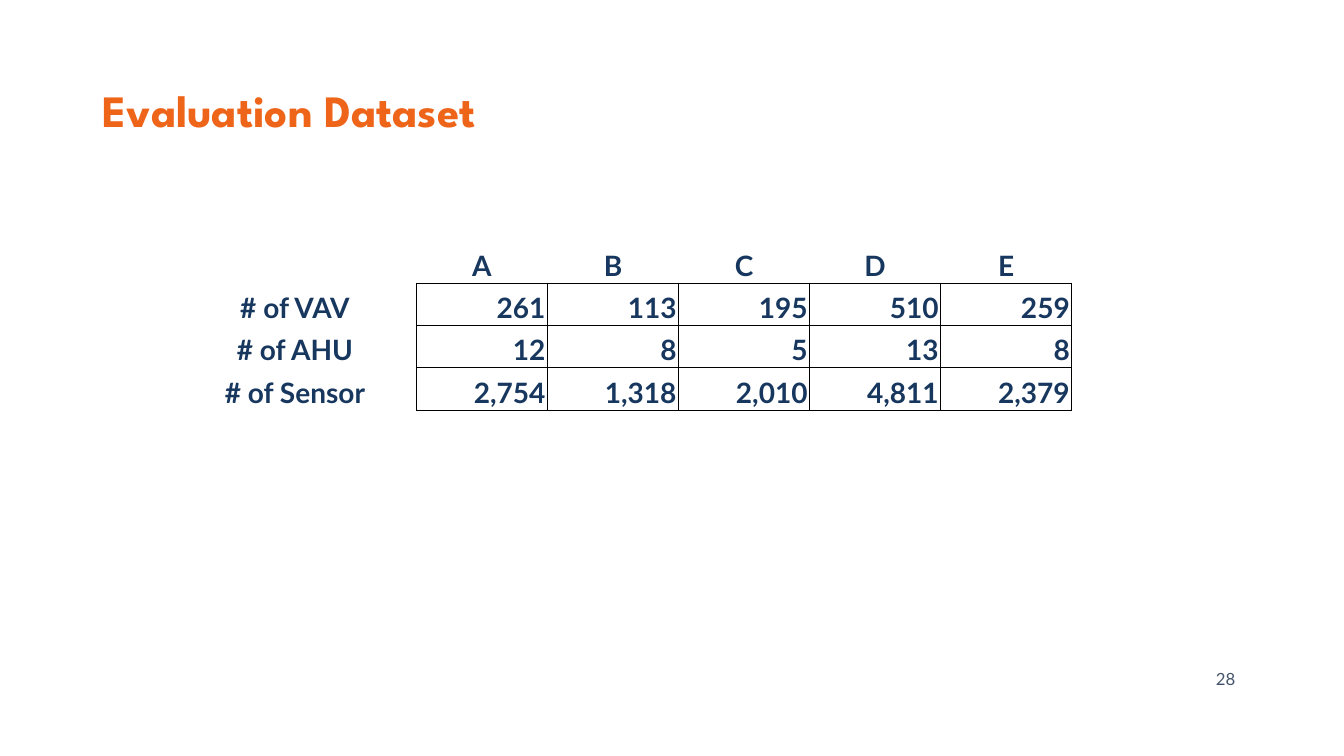
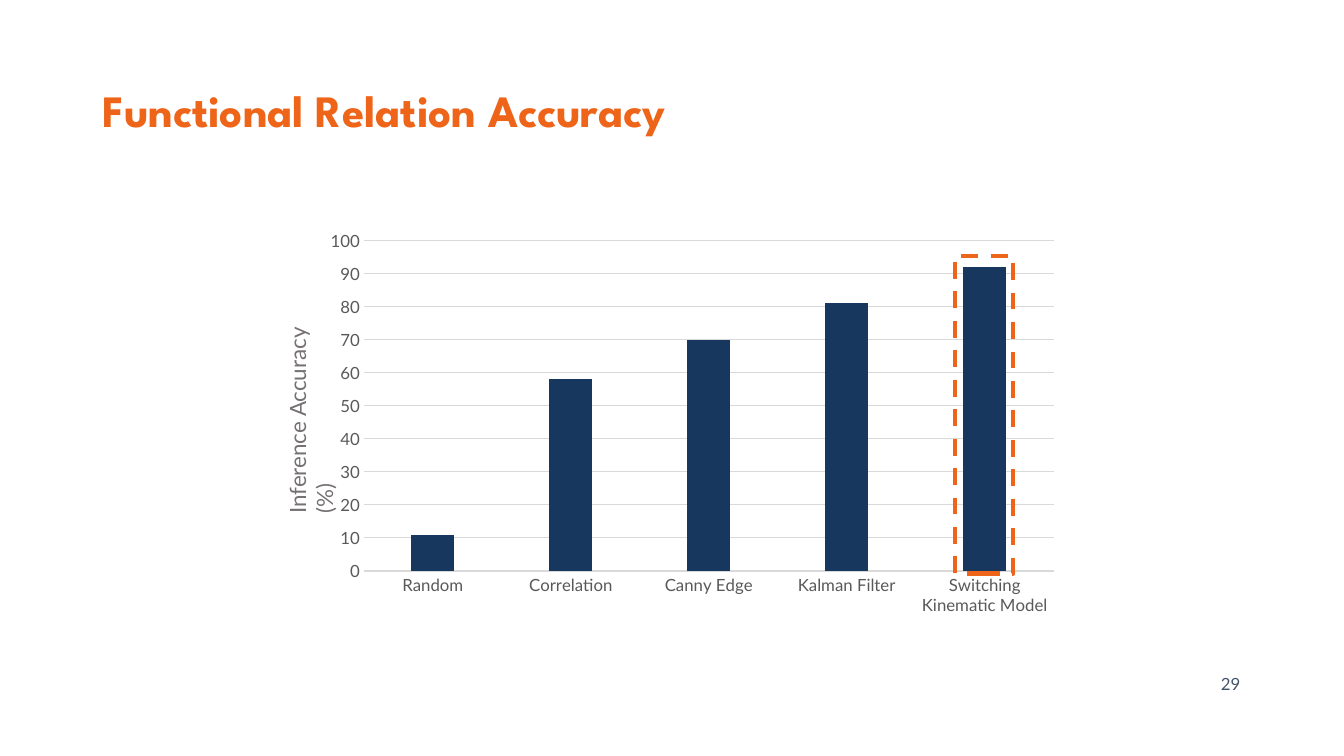
from lxml import etree
from pptx import Presentation
from pptx.chart.data import CategoryChartData
from pptx.dml.color import RGBColor
from pptx.enum.chart import XL_CHART_TYPE, XL_TICK_MARK
from pptx.enum.dml import MSO_LINE
from pptx.enum.shapes import MSO_SHAPE
from pptx.enum.text import MSO_ANCHOR, MSO_AUTO_SIZE, PP_ALIGN
from pptx.oxml import parse_xml
from pptx.oxml.ns import nsdecls
from pptx.util import Pt

PX = 9144  # 100 px to the inch
ORANGE = RGBColor(0xEE, 0x64, 0x19)
NAVY = RGBColor(0x17, 0x37, 0x5E)
SLATE = RGBColor(0x44, 0x54, 0x6A)
LABEL_GRAY = RGBColor(0x59, 0x59, 0x59)
CAPTION_GRAY = RGBColor(0x76, 0x71, 0x71)
GRID_GRAY = RGBColor(0xD9, 0xD9, 0xD9)
BLACK = RGBColor(0, 0, 0)

LEFT, CENTER, RIGHT = PP_ALIGN.LEFT, PP_ALIGN.CENTER, PP_ALIGN.RIGHT
TOP, MIDDLE, BOTTOM = MSO_ANCHOR.TOP, MSO_ANCHOR.MIDDLE, MSO_ANCHOR.BOTTOM
NO_TICKS = XL_TICK_MARK.NONE

TITLE_FONT = {"name": "League Spartan", "size": Pt(32), "bold": True, "color": ORANGE}
NUMBER_FONT = {"name": "Lato", "size": Pt(12), "color": SLATE}
TABLE_FONT = {"name": "Lato", "size": Pt(20), "bold": True, "color": NAVY}
CHART_FONT = {"name": "Lato", "size": Pt(10), "color": BLACK}
AXIS_FONT = {"name": "Lato", "size": Pt(12), "color": LABEL_GRAY}
CAPTION_FONT = {"name": "Lato", "size": Pt(16), "color": CAPTION_GRAY}


def set_format(target, values):
    """Set attributes from a dict; a colour goes to target.color.rgb."""
    for key, value in values.items():
        if key == "color":
            target.color.rgb = value
        else:
            setattr(target, key, value)


def add_text(slide, box, text, font, align=LEFT, anchor=MIDDLE):
    holder = slide.shapes.add_textbox(*(length * PX for length in box))
    set_format(holder.text_frame, {"word_wrap": True, "vertical_anchor": anchor})
    paragraph = holder.text_frame.paragraphs[0]
    paragraph.alignment = align
    run = paragraph.add_run()
    run.text = text
    set_format(run.font, font)
    return holder


prs = Presentation()
set_format(prs, {"slide_width": 1333 * PX, "slide_height": 750 * PX})

# Titles and page numbers
pages = [
    ("Evaluation Dataset", "28", (935, 653, 300, 40)),
    ("Functional Relation Accuracy", "29", (940, 658, 300, 40)),
]
slides = []
for title, number, number_box in pages:
    slide = prs.slides.add_slide(prs.slide_layouts[6])
    heading = add_text(slide, (92, 40, 1150, 145), title, TITLE_FONT)
    heading.text_frame.paragraphs[0].line_spacing = 0.9
    add_text(slide, number_box, number, NUMBER_FONT, RIGHT)
    slides.append(slide)
dataset_slide, accuracy_slide = slides

# Dataset table
dataset = [
    ["", "A", "B", "C", "D", "E"],
    ["# of VAV", "261", "113", "195", "510", "259"],
    ["# of AHU", "12", "8", "5", "13", "8"],
    ["# of Sensor", "2,754", "1,318", "2,010", "4,811", "2,379"],
]
column_widths = [241] + [130] * 5
row_height = 42
table = dataset_slide.shapes.add_table(
    len(dataset), len(column_widths), 172 * PX, 239 * PX,
    sum(column_widths) * PX, len(dataset) * row_height * PX).table
set_format(table, {"first_row": False, "horz_banding": False})
for column, width in zip(table.columns, column_widths):
    column.width = width * PX
for r, values in enumerate(dataset):
    table.rows[r].height = row_height * PX
    for c, value in enumerate(values):
        cell = table.cell(r, c)
        set_format(cell, {"margin_left": 2 * PX, "margin_right": 2 * PX,
                          "margin_top": PX, "margin_bottom": PX,
                          "vertical_anchor": BOTTOM})
        if r and c:
            ruled = "LRTB"
        elif r:
            ruled = "R"
        else:
            ruled = "B" if c else ""
        for side in "LRTB":
            stroke = ('<a:solidFill><a:srgbClr val="000000"/></a:solidFill>'
                      if side in ruled else "<a:noFill/>")
            cell._tc.get_or_add_tcPr().append(parse_xml(
                f'<a:ln{side} {nsdecls("a")} w="12700">{stroke}</a:ln{side}>'))
        cell.fill.background()
        if value:
            paragraph = cell.text_frame.paragraphs[0]
            paragraph.alignment = RIGHT if r and c else CENTER
            run = paragraph.add_run()
            run.text = value
            set_format(run.font, TABLE_FONT)

# Accuracy chart
accuracy = {
    "Random": 11,
    "Correlation": 58,
    "Canny Edge": 70,
    "Kalman Filter": 81,
    "Switching Kinematic Model": 92,
}
chart_data = CategoryChartData()
chart_data.categories = list(accuracy)
chart_data.add_series("Series 1", list(accuracy.values()))
chart = accuracy_slide.shapes.add_chart(
    XL_CHART_TYPE.COLUMN_CLUSTERED, 313 * PX, 221 * PX, 747 * PX, 397 * PX,
    chart_data).chart
set_format(chart, {"has_legend": False, "has_title": False})
set_format(chart.font, CHART_FONT)
plot = chart.plots[0]
set_format(plot, {"gap_width": 219, "overlap": -27, "vary_by_categories": False})
bars = plot.series[0].format.fill
bars.solid()
bars.fore_color.rgb = NAVY

for axis in (chart.category_axis, chart.value_axis):
    set_format(axis, {"major_tick_mark": NO_TICKS, "minor_tick_mark": NO_TICKS})
    set_format(axis.tick_labels.font, AXIS_FONT)
set_format(chart.value_axis, {"minimum_scale": 0, "maximum_scale": 100,
                              "major_unit": 10, "has_major_gridlines": True})
chart.value_axis.format.line.fill.background()
for line in (chart.category_axis.format.line,
             chart.value_axis.major_gridlines.format.line):
    set_format(line, {"color": GRID_GRAY, "width": Pt(0.75)})

axis_caption = add_text(accuracy_slide, (176, 382, 238, 37),
                        "Inference Accuracy (%)", CAPTION_FONT, anchor=TOP)
axis_caption.rotation = 270
axis_caption.text_frame.auto_size = MSO_AUTO_SIZE.SHAPE_TO_FIT_TEXT

# Frame around the best result
highlight = accuracy_slide.shapes.add_shape(
    MSO_SHAPE.RECTANGLE, 947 * PX, 254 * PX, 58 * PX, 315 * PX)
highlight.shadow.inherit = False
highlight.fill.background()
set_format(highlight.line, {"color": ORANGE, "width": Pt(3),
                            "dash_style": MSO_LINE.DASH})

prs.save("out.pptx")
